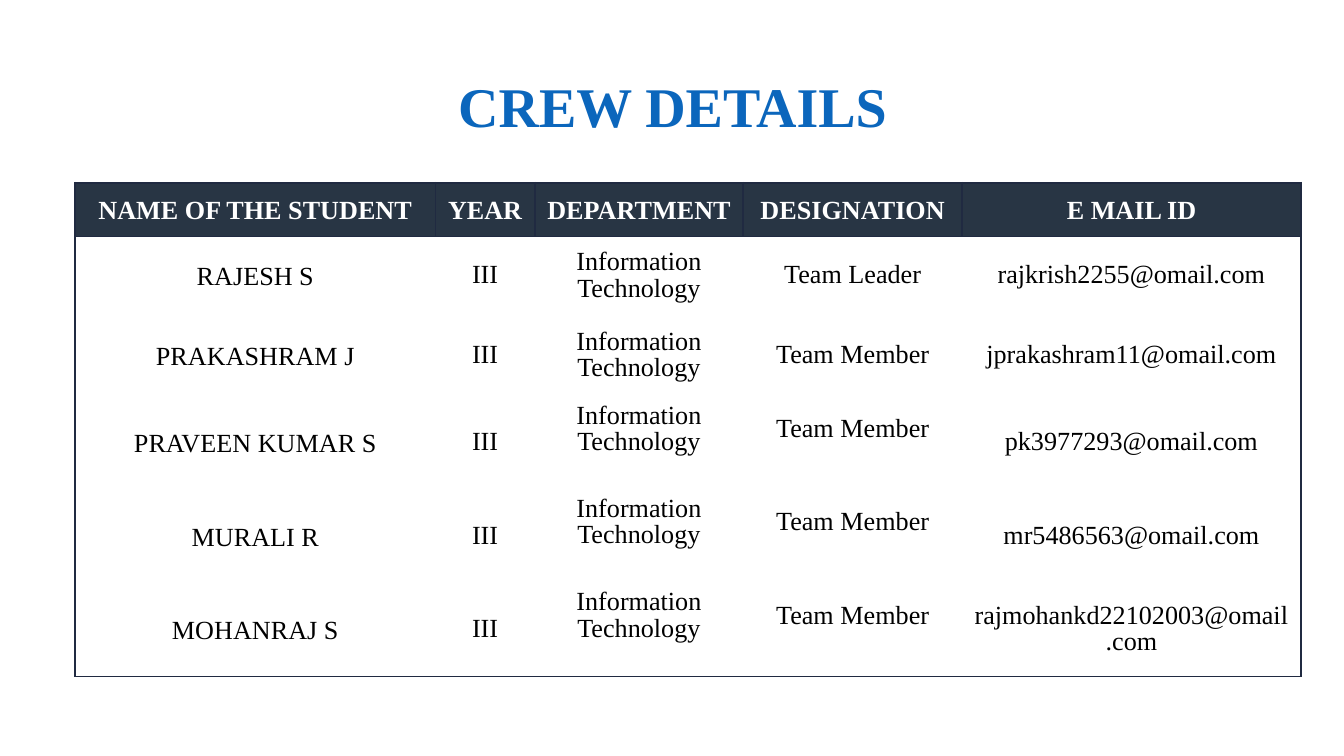
import pptx
import pptx.dml.color
import pptx.enum.text
import pptx.oxml
import pptx.oxml.ns
import pptx.util

Inches = pptx.util.Inches
Pt = pptx.util.Pt

FONT = "Times New Roman"
NAVY = "283544"
EDGE = "202A41"
WIDTHS = [2.68, 0.74, 1.55, 1.63, 2.52]
HEIGHTS = [0.4, 0.59, 0.6, 0.69, 0.69, 0.69]
HEADS = ["NAME OF THE STUDENT", "YEAR", "DEPARTMENT", "DESIGNATION", "E MAIL ID"]
CREW = [
    ("RAJESH S", "Team Leader", "rajkrish2255@omail.com"),
    ("PRAKASHRAM J", "Team Member", "jprakashram11@omail.com"),
    ("PRAVEEN KUMAR S", "Team Member", "pk3977293@omail.com"),
    ("MURALI R", "Team Member", "mr5486563@omail.com"),
    ("MOHANRAJ S", "Team Member", "rajmohankd22102003@omail\n.com"),
]


def color(code):
    return pptx.dml.color.RGBColor.from_string(code)


def write(frame, text, size=14, tint="000000", bold=False, lead=None):
    """Fill a text frame with centred text, one paragraph a line."""
    frame.word_wrap = True
    frame.text = text
    for para in frame.paragraphs:
        para.alignment = pptx.enum.text.PP_ALIGN.CENTER
        if lead:
            para.line_spacing = Pt(lead)
        for run in para.runs:
            font = run.font
            font.name, font.size, font.bold = FONT, Pt(size), bold
            font.color.rgb = color(tint)


def border(cell, sides):
    """Line the given sides of a cell and clear the rest."""
    props = cell._tc.get_or_add_tcPr()
    space = pptx.oxml.ns.nsdecls("a")
    for side in "LRTB":
        paint = "<a:noFill/>"
        if side in sides:
            paint = f'<a:solidFill><a:srgbClr val="{EDGE}"/></a:solidFill>'
        props.append(pptx.oxml.parse_xml(
            f'<a:ln{side} {space} w="{Pt(1)}">{paint}</a:ln{side}>'))


def edges(row, col):
    if row == 0:
        return "LRTB"
    sides = ""
    if col == 0:
        sides += "L"
    if col == len(WIDTHS) - 1:
        sides += "R"
    if row == 1:
        sides += "T"
    if row == len(CREW):
        sides += "B"
    return sides


def style(cell, row, col):
    cell.vertical_anchor = pptx.enum.text.MSO_ANCHOR.MIDDLE
    cell.margin_left = cell.margin_right = Inches(0.05)
    cell.margin_top = cell.margin_bottom = Inches(0.05)
    if row >= 3 and col in (2, 3):
        cell.margin_bottom = Inches(0.25)
    border(cell, edges(row, col))
    if row == 0:
        cell.fill.solid()
        cell.fill.fore_color.rgb = color(NAVY)
    else:
        cell.fill.background()


def add_title(slide):
    box = slide.shapes.add_textbox(
        Inches(2.28), Inches(0.43), Inches(5.45), Inches(0.63))
    frame = box.text_frame
    frame.margin_left = frame.margin_right = Inches(0.1)
    frame.margin_top = frame.margin_bottom = Inches(0.1)
    write(frame, "CREW DETAILS", size=30, tint="0B66BC", bold=True)


def add_crew(slide):
    rows = [HEADS] + [
        [name, "III", "Information Technology", role, mail]
        for name, role, mail in CREW]
    table = slide.shapes.add_table(
        len(rows), len(HEADS), Inches(0.56), Inches(1.36),
        Inches(sum(WIDTHS)), Inches(sum(HEIGHTS))).table
    table.horz_banding = False
    for col, width in zip(table.columns, WIDTHS):
        col.width = Inches(width)
    for row, height in zip(table.rows, HEIGHTS):
        row.height = Inches(height)
    for r, texts in enumerate(rows):
        for c, text in enumerate(texts):
            cell = table.cell(r, c)
            head = r == 0
            style(cell, r, c)
            write(cell.text_frame, text, bold=head,
                  tint="FFFFFF" if head else "000000",
                  lead=16.5 if head or c == 0 else 14.2)


def main():
    deck = pptx.Presentation()
    deck.slide_width = Inches(10)
    deck.slide_height = deck.slide_width * 9 // 16
    slide = deck.slides.add_slide(deck.slide_layouts[6])
    add_title(slide)
    add_crew(slide)
    deck.save("out.pptx")


if __name__ == "__main__":
    main()
